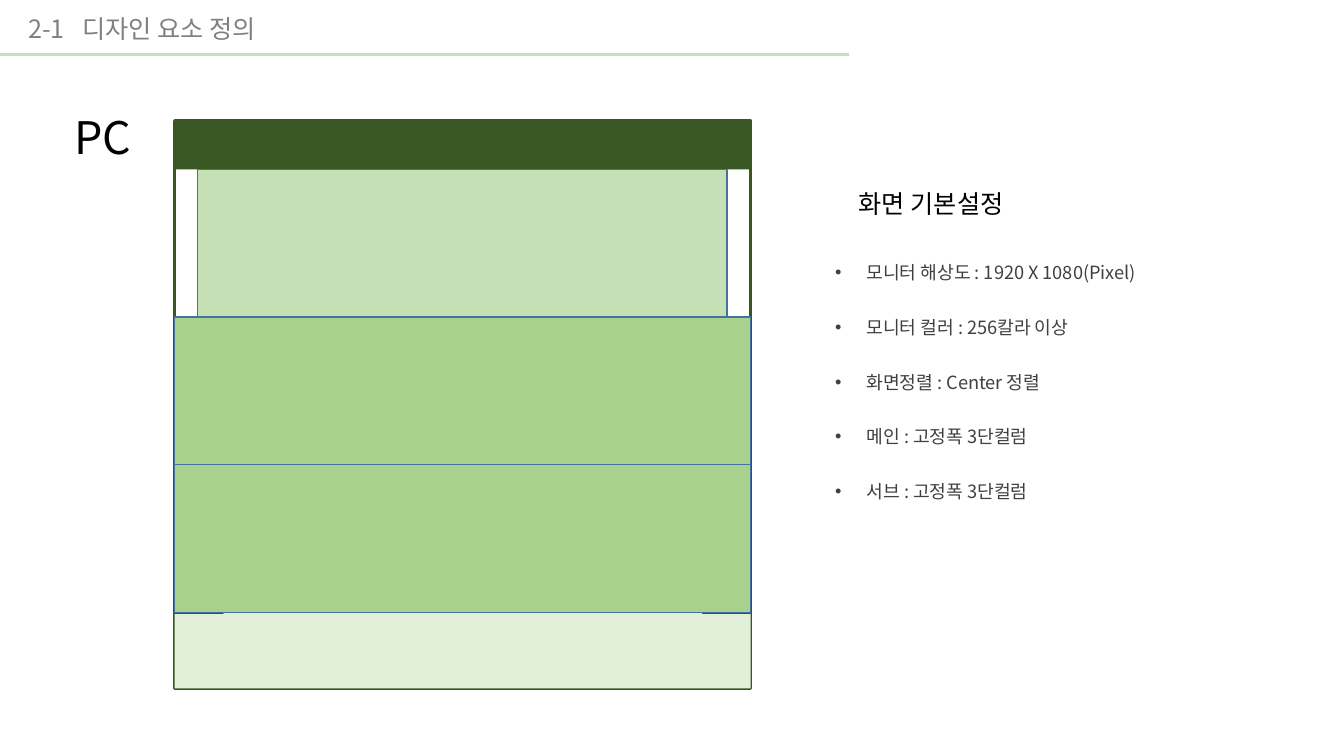
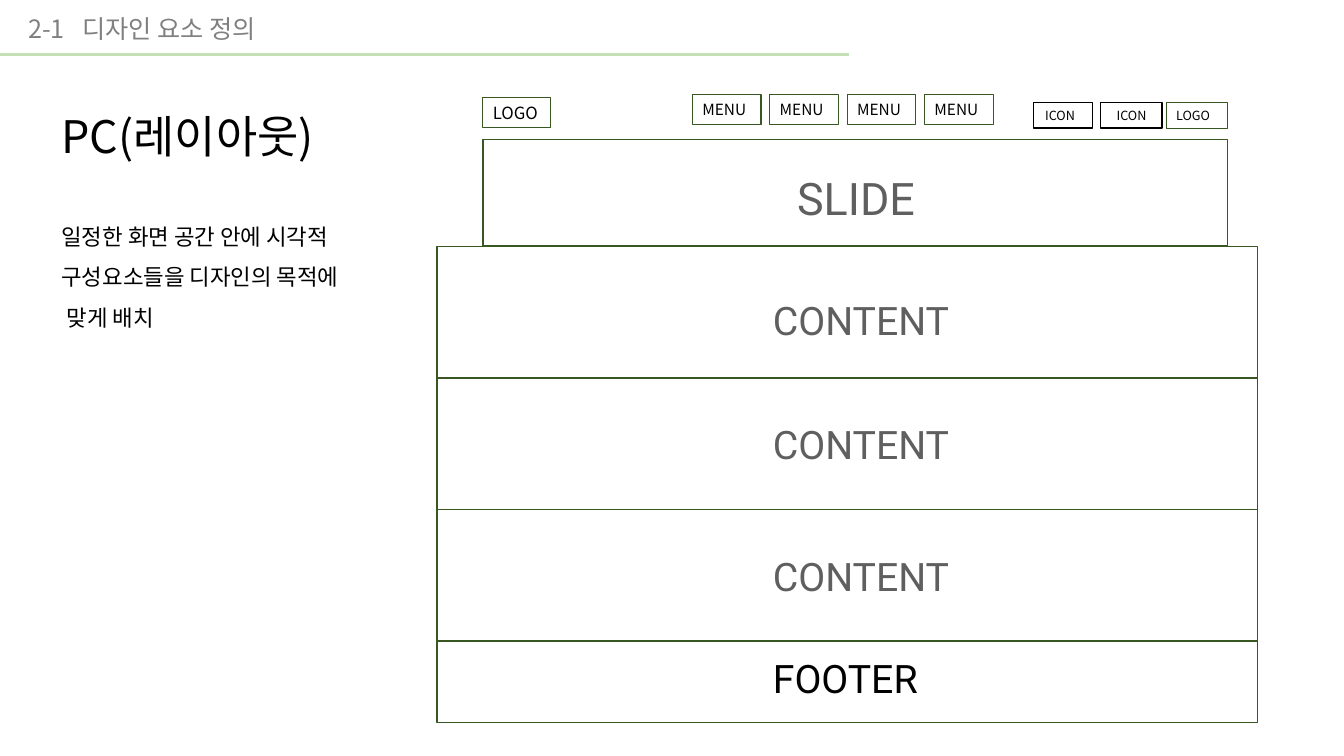
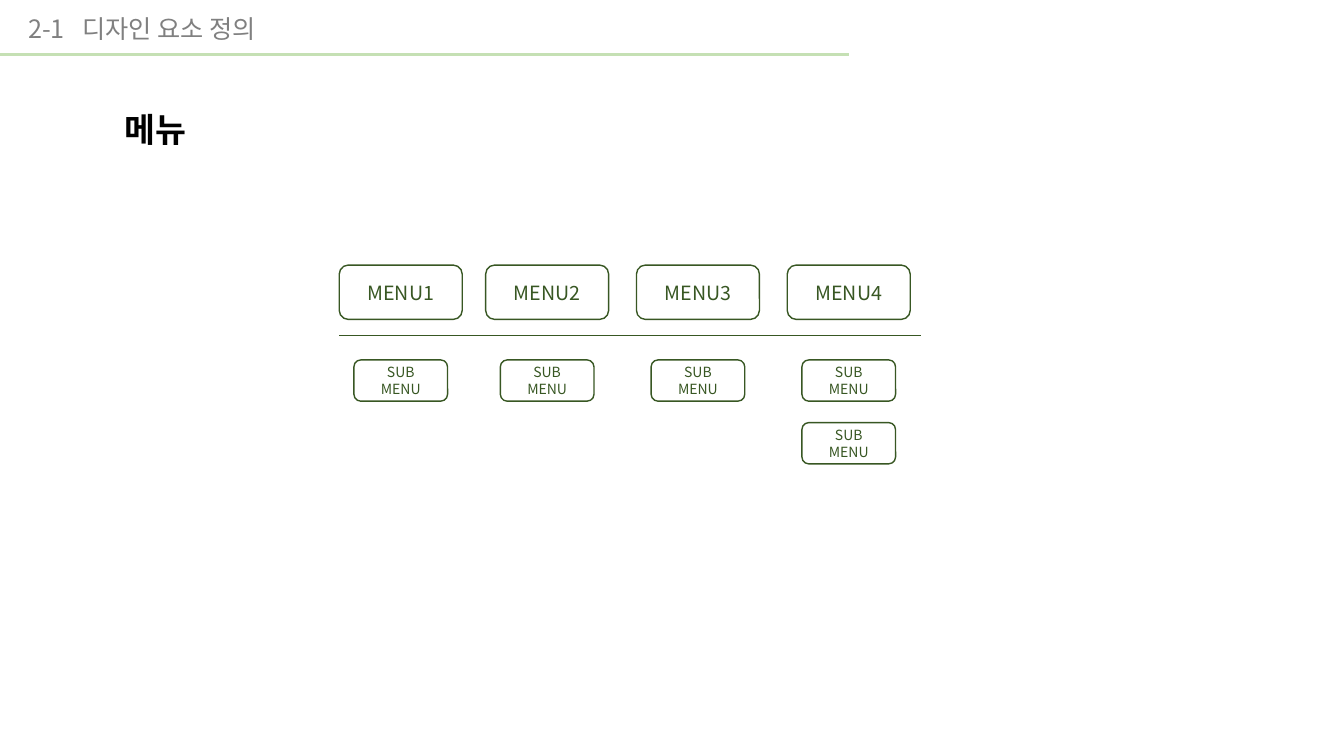
from lxml import etree
from pptx import Presentation
from pptx.dml.color import RGBColor
from pptx.enum.shapes import MSO_CONNECTOR as CONN, MSO_SHAPE as SHAPE
from pptx.enum.text import MSO_ANCHOR as ANCHOR, MSO_AUTO_SIZE as AUTO, PP_ALIGN as ALIGN
from pptx.oxml.ns import qn
from pptx.util import Cm, Pt

# Colours
BLACK = RGBColor(0x00, 0x00, 0x00)
WHITE = RGBColor(0xFF, 0xFF, 0xFF)
GREY = RGBColor(0x80, 0x80, 0x80)
TEXT_GREY = RGBColor(0x40, 0x40, 0x40)
LABEL_GREY = RGBColor(0x5F, 0x5F, 0x5F)
DARK_GREEN = RGBColor(0x38, 0x57, 0x23)
MID_GREEN = RGBColor(0xA9, 0xD1, 0x8E)
LIGHT_GREEN = RGBColor(0xC5, 0xE0, 0xB4)
PALE_GREEN = RGBColor(0xE2, 0xF0, 0xD9)
BLUE = RGBColor(0x43, 0x73, 0x9E)

# Fonts
KOREAN = "Noto Sans CJK KR"
LATIN = "Roboto"


class Deck:
    """Holds the shared style and the slide being built."""

    def __init__(self):
        self.prs = Presentation()
        self.prs.slide_width, self.prs.slide_height = Cm(33.87), Cm(19.05)
        self.s = None

    def new_slide(self):
        self.s = self.prs.slides.add_slide(self.prs.slide_layouts[6])
        p = self.text((0.46, 0.2, 10.39, 1.02), ["2-1\t디자인 요소 정의"], 18, GREY)
        tabs = etree.SubElement(p.get_or_add_pPr(), qn("a:tabLst"))
        etree.SubElement(tabs, qn("a:tab"), pos=str(Cm(1.37)), algn="l")
        self.line(0, 21.39, 1.37, LIGHT_GREEN, 2.25)

    def fill_text(self, tf, lines, size, color, font=KOREAN, bold=False, **para):
        """Fill a text frame, one paragraph a line."""
        for i, line in enumerate(lines):
            p = tf.paragraphs[0] if i == 0 else tf.add_paragraph()
            for name, value in para.items():
                setattr(p, name, value)
            r = p.add_run()
            r.text = line
            for name, value in dict(size=Pt(size), name=font, bold=bold).items():
                setattr(r.font, name, value)
            r.font.color.rgb = color
            etree.SubElement(r._r.get_or_add_rPr(), qn("a:ea"), typeface=KOREAN)

    def text(self, box, lines, size, color, wrap=True, border=None, **style):
        sp = self.s.shapes.add_textbox(*map(Cm, box))
        tf = sp.text_frame
        tf.word_wrap = wrap
        tf.auto_size = AUTO.SHAPE_TO_FIT_TEXT
        if border is not None:
            sp.line.color.rgb = border
            sp.line.width = Pt(0.75)
        self.fill_text(tf, lines, size, color, **style)
        return tf.paragraphs[0]._p

    def bullets(self, box, lines, size, color, indent, **style):
        first = self.text(box, lines, size, color, **style)
        for p in first.getparent().findall(qn("a:p")):
            pPr = p.get_or_add_pPr()
            pPr.set("marL", str(Cm(indent)))
            pPr.set("indent", str(-Cm(indent)))
            etree.SubElement(pPr, qn("a:buFont"), typeface="Arial")
            etree.SubElement(pPr, qn("a:buChar"), char="•")

    def box(self, box, fill=None, border=None, width=1, kind=SHAPE.RECTANGLE):
        sp = self.s.shapes.add_shape(kind, *map(Cm, box))
        sp.shadow.inherit = False
        if fill is None:
            sp.fill.background()
        else:
            sp.fill.solid()
            sp.fill.fore_color.rgb = fill
        if border is None:
            sp.line.fill.background()
        else:
            sp.line.color.rgb = border
            sp.line.width = Pt(width)
        return sp

    def button(self, box, lines, size):
        sp = self.box(box, WHITE, DARK_GREEN, kind=SHAPE.ROUNDED_RECTANGLE)
        tf = sp.text_frame
        tf.vertical_anchor = ANCHOR.MIDDLE
        self.fill_text(tf, lines, size, DARK_GREEN, alignment=ALIGN.CENTER)

    def line(self, x1, x2, y, color, width):
        c = self.s.shapes.add_connector(CONN.STRAIGHT, Cm(x1), Cm(y), Cm(x2), Cm(y))
        c.line.color.rgb = color
        c.line.width = Pt(width)
        etree.SubElement(c._element.spPr, qn("a:effectLst"))


def screen_slide(d):
    d.new_slide()
    d.text((1.63, 2.64, 2.18, 1.63), ["PC"], 32, BLACK)

    # Screen frame with header, footer and side margins
    left, top, width, height = 4.4, 3.05, 14.52, 14.3
    header, footer, band = 1.22, 1.9, 3.72
    d.box((left, top, width, height), border=DARK_GREEN, width=2.25)
    d.box((left, top, width, header), DARK_GREEN)
    d.box((left, top + height - footer, width, footer), PALE_GREEN)
    for x in (left, left + width - header):
        d.box((x, top, header, height - footer), border=DARK_GREEN)

    # Slide area and two content bands
    y = top + header
    d.box((4.98, y, 13.34, band), LIGHT_GREEN, BLUE)
    for i in (1, 2):
        d.box((left, y + i * band, width, band), MID_GREEN, BLUE)

    # Basic settings
    d.bullets((20.8, 5.64, 8.99, 7.21), [
        "모니터 해상도 : 1920 X 1080(Pixel)",
        "모니터 컬러 : 256칼라 이상",
        "화면정렬 : Center 정렬",
        "메인 : 고정폭 3단컬럼",
        "서브 : 고정폭 3단컬럼",
    ], 13, TEXT_GREY, 0.79, line_spacing=2.5)
    d.text((21.39, 4.62, 4.6, 1.02), ["화면 기본설정"], 18, BLACK, wrap=False)


def layout_slide(d):
    d.new_slide()
    d.text((1.3, 2.62, 7.29, 1.63), ["PC(레이아웃)"], 32, BLACK)
    d.text((1.3, 5.16, 8.84, 3.2),
           ["일정한 화면 공간 안에 시각적 구성요소들을 디자인의 목적에", " 맞게 배치"],
           16, BLACK, font=LATIN, line_spacing=1.5)

    # Top row: logo, menus, icons
    d.text((12.17, 2.46, 1.7, 0.76), ["LOGO"], 12, BLACK, border=DARK_GREEN)
    for i in range(4):
        d.text((17.45 + i * 1.95, 2.39, 1.73, 0.74), ["MENU"], 11, BLACK, border=DARK_GREEN)
    for x, label_x, width in ((26.04, 26.09, 1.5), (27.74, 27.89, 1.55)):
        d.text((label_x, 2.59, 1.7, 0.64), ["ICON"], 9, BLACK)
        d.box((x, 2.59, width, 0.64), border=BLACK)
    d.text((29.39, 2.59, 1.55, 0.64), ["LOGO"], 9, BLACK, border=DARK_GREEN)

    # Slide area
    d.box((12.17, 3.51, 18.77, 2.69), border=DARK_GREEN)
    d.text((19.84, 4.17, 3.48, 1.63), ["SLIDE"], 32, LABEL_GREY,
           font=LATIN, space_after=Pt(12))

    # Stacked content rows and footer
    left, top, width, row = 11.01, 6.22, 20.68, 3.31
    labels = (("CONTENT", 7.34, LABEL_GREY), ("CONTENT", 10.46, LABEL_GREY),
              ("CONTENT", 13.79, LABEL_GREY), ("FOOTER", 16.36, BLACK))
    for i, (label, y, color) in enumerate(labels):
        height, label_width = (2.06, 4.32) if label == "FOOTER" else (row, 5.03)
        d.box((left, top + i * row, width, height), border=DARK_GREEN)
        d.text((19.23, y, label_width, 1.45), [label], 28, color, wrap=False, font=LATIN)


def menu_slide(d):
    d.new_slide()
    p = d.text((1.63, 2.11, 4.45, 1.8), ["메뉴"], 24, BLACK, bold=True, line_spacing=1.5)
    p.get_or_add_pPr().set("marL", str(Cm(1.27)))

    # Menus, each with its submenus centred below
    width, sub_width = 3.1, 2.36
    columns = ((8.55, 1), (12.24, 1), (16.04, 1), (19.84, 2))
    for n, (x, subs) in enumerate(columns, 1):
        d.button((x, 6.68, width, 1.37), [f"MENU{n}"], 14)
        for i in range(subs):
            d.button((x + (width - sub_width) / 2, 9.07 + i * 1.58, sub_width, 1.04),
                     ["SUB", "MENU"], 10)
    d.line(8.55, 23.22, 8.46, DARK_GREEN, 1)


def main():
    d = Deck()
    for build in (screen_slide, layout_slide, menu_slide):
        build(d)
    d.prs.save("out.pptx")


if __name__ == "__main__":
    main()
